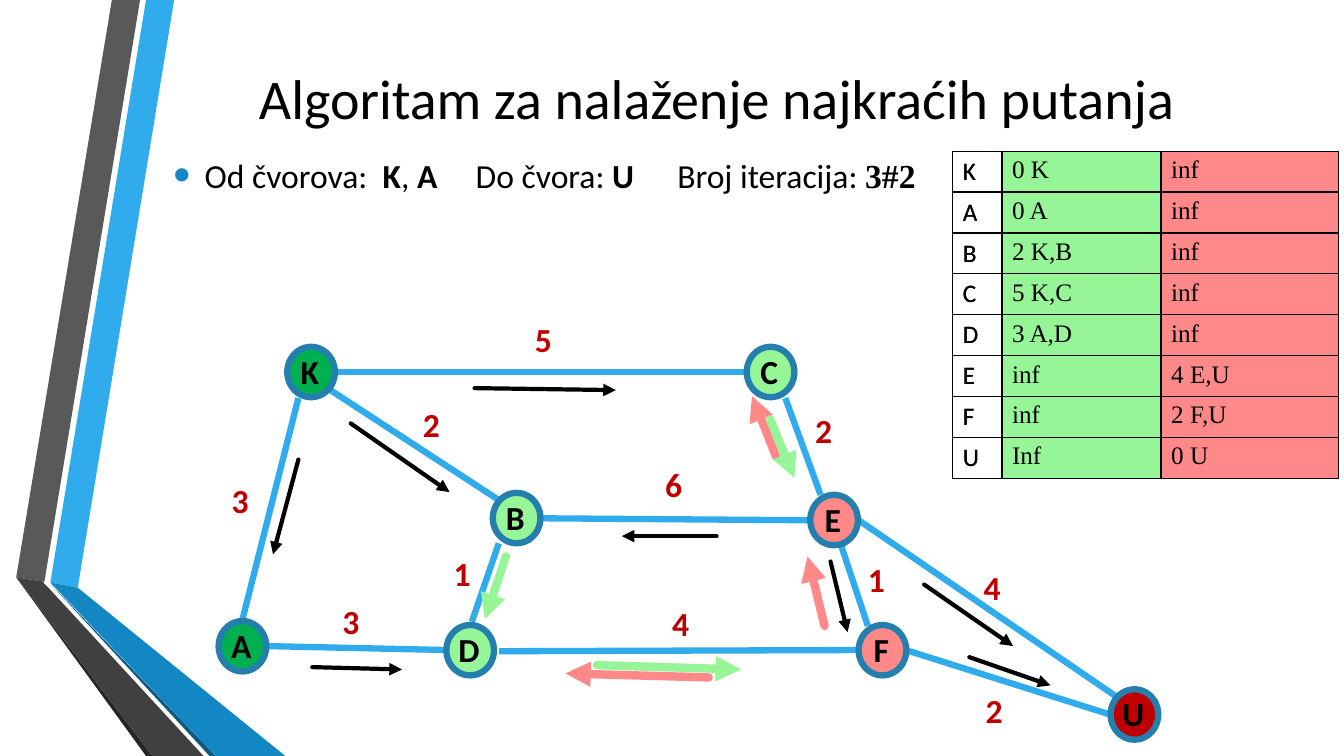
from pptx import Presentation
from pptx.dml.color import RGBColor
from pptx.enum.shapes import MSO_CONNECTOR, MSO_SHAPE
from pptx.enum.text import MSO_ANCHOR, PP_ALIGN
from pptx.oxml import parse_xml
from pptx.oxml.ns import nsdecls, qn
from pptx.util import Cm, Pt

BLACK = RGBColor(0x00, 0x00, 0x00)
SKY = RGBColor(0x30, 0xAC, 0xEC)
OCEAN = RGBColor(0x12, 0x87, 0xC3)
NAVY = RGBColor(0x0C, 0x5A, 0x82)
RIM = RGBColor(0x24, 0x7F, 0xAF)
GREY = RGBColor(0x59, 0x59, 0x59)
CHARCOAL = RGBColor(0x40, 0x40, 0x40)
SOOT = RGBColor(0x26, 0x26, 0x26)
GREEN = RGBColor(0x00, 0xB0, 0x50)
LIME = RGBColor(0x95, 0xF5, 0x97)
PINK = RGBColor(0xFF, 0x89, 0x89)
RED = RGBColor(0xC0, 0x00, 0x00)


def write(frame, runs, align=PP_ALIGN.LEFT, **common):
    """Fill the first paragraph with (text, font values) runs."""
    paragraph = frame.paragraphs[0]
    paragraph.alignment = align
    for text, own in runs:
        run = paragraph.add_run()
        run.text = text
        values = {"name": "Calibri", "bold": False, **common, **own}
        run.font.color.rgb = values.pop("color", BLACK)
        for key, value in values.items():
            setattr(run.font, key, value)
    return paragraph


def draw_line(ends, color, width, arrow=False):
    line = slide.shapes.add_connector(MSO_CONNECTOR.STRAIGHT, *map(Cm, ends))
    line.line.color.rgb = color
    line.line.width = Pt(width)
    properties = line.element.spPr
    if arrow:
        outline = properties.find(qn("a:ln"))
        outline.set("cap", "rnd")
        outline.append(parse_xml(f'<a:tailEnd {nsdecls("a")} type="triangle"/>'))
    properties.append(parse_xml(f'<a:effectLst {nsdecls("a")}/>'))


deck = Presentation()
deck.slide_width, deck.slide_height = Cm(33.87), Cm(19.05)
slide = deck.slides.add_slide(deck.slide_layouts[6])

# Folded ribbons on the left edge
ribbons = [
    (SKY, [(1.27, 14.68), (1.96, 14.81), (4.39, 0), (3.68, 0)]),
    (GREY, [(3.53, 0), (2.82, 0), (0.41, 14.55), (1.12, 14.66)]),
    (SOOT, [(0.41, 14.55), (3.68, 19.05), (3.84, 19.05)]),
    (NAVY, [(1.27, 14.71), (5.28, 19.05), (5.44, 19.05)]),
    (OCEAN, [(1.27, 14.68), (5.44, 19.05), (7.19, 19.05), (1.96, 14.81)]),
    (CHARCOAL, [(5.13, 19.05), (1.22, 14.81), (1.09, 14.68), (1.12, 14.66),
                (0.41, 14.55), (3.84, 19.05)]),
]
for color, corners in ribbons:
    points = [(Cm(x), Cm(y)) for x, y in corners]
    builder = slide.shapes.build_freeform(*points[0])
    builder.add_line_segments(points[1:], close=True)
    ribbon = builder.convert_to_shape()
    ribbon.shadow.inherit = False
    ribbon.fill.solid()
    ribbon.fill.fore_color.rgb = color
    ribbon.line.fill.background()

# Title and task
title = slide.shapes.add_textbox(Cm(4.14), Cm(0), Cm(27.84), Cm(4.88)).text_frame
title.word_wrap = True
title.vertical_anchor = MSO_ANCHOR.MIDDLE
write(title, [("Algoritam za nalaženje najkraćih putanja", {})],
      PP_ALIGN.CENTER, size=Pt(40))

task = slide.shapes.add_textbox(Cm(4.12), Cm(3.28), Cm(20.65), Cm(2.26)).text_frame
task.word_wrap = True
task.vertical_anchor = MSO_ANCHOR.MIDDLE
strong = {"bold": True}
task_line = write(task, [
    ("Od čvorova:", {}), (" ", {}), ("K", strong), (", ", {}), ("A", strong),
    ("\tDo čvora: ", {}), ("U\t", strong), ("Broj iteracija: ", {}),
    ("3#2", {"bold": True, "name": "Times New Roman"}),
], size=Pt(24))
task_line.space_after = Pt(6)
wide_gap = task_line.runs[1]._r.get_or_add_rPr()
wide_gap.set("spc", "540")
bullet = task_line._p.get_or_add_pPr()
bullet.set("marL", str(Cm(0.79)))
bullet.set("indent", str(-Cm(0.79)))
for tag in (f'buClr {nsdecls("a")}><a:srgbClr val="{OCEAN}"/></a:buClr',
            f'buSzPct {nsdecls("a")} val="145000"/',
            f'buFont {nsdecls("a")} typeface="Arial"/',
            f'buChar {nsdecls("a")} char="•"/'):
    bullet.append(parse_xml(f"<a:{tag}>"))

# Distances from the start nodes and to the target: a coloured grid under the values
distances = [
    ("K", "0 K", "inf"), ("A", "0 A", "inf"), ("B", "2 K,B", "inf"),
    ("C", "5 K,C", "inf"), ("D", "3 A,D", "inf"), ("E", "inf", "4 E,U"),
    ("F", "inf", "2 F,U"), ("U", "Inf", "0 U"),
]
grid = [(letter, "", "") for letter, _, _ in distances]
columns = [(1.24, "Calibri"), (4.01, "Times New Roman"), (4.47, "Times New Roman")]
row_height = 1.03
for rows, fills in ((grid, (None, LIME, PINK)), (distances, (None, LIME, None))):
    table = slide.shapes.add_table(
        len(rows), len(columns), Cm(24.01), Cm(3.81),
        Cm(sum(width for width, _ in columns)), Cm(row_height * len(rows))).table
    table.first_row = table.horz_banding = False
    for c, (width, _) in enumerate(columns):
        table.columns[c].width = Cm(width)
    for r, entries in enumerate(rows):
        table.rows[r].height = Cm(row_height)
        for c, (entry, (_, font), color) in enumerate(zip(entries, columns, fills)):
            cell = table.cell(r, c)
            if entry:
                write(cell.text_frame, [(entry, {})], size=Pt(18), name=font)
            borders = cell._tc.get_or_add_tcPr()
            for side in ("lnL", "lnR", "lnT", "lnB"):
                borders.append(parse_xml(
                    f'<a:{side} {nsdecls("a")} w="{Pt(1)}"><a:solidFill>'
                    f'<a:srgbClr val="{BLACK}"/></a:solidFill></a:{side}>'))
            if color is None:
                cell.fill.background()
            else:
                cell.fill.solid()
                cell.fill.fore_color.rgb = color

# Graph edges
edges = [
    (19.79, 10.03, 20.68, 12.47), (8.46, 9.37, 18.82, 9.37),
    (8.28, 9.8, 12.57, 12.6), (13.61, 13.06, 20.42, 13.11),
    (7.52, 10.03, 6.1, 15.65), (11.25, 16.38, 6.71, 16.28),
    (21.64, 16.38, 12.57, 16.41), (21.87, 15.77, 21.18, 13.69),
    (28.17, 17.58, 21.64, 13.11), (27.99, 18.01, 22.83, 16.38),
    (11.89, 15.67, 12.57, 13.69),
]
for ends in edges:
    draw_line(ends, SKY, 4.5)

# Graph nodes
nodes = [
    ("K", 7.24, 8.74, GREEN), ("D", 11.25, 15.75, LIME),
    ("B", 12.42, 12.42, LIME), ("C", 18.82, 8.74, LIME),
    ("E", 20.42, 12.47, PINK), ("U", 27.99, 17.37, RED),
    ("A", 5.51, 15.65, GREEN), ("F", 21.64, 15.75, PINK),
]
for letter, left, top, color in nodes:
    node = slide.shapes.add_shape(
        MSO_SHAPE.OVAL, Cm(left), Cm(top), Cm(1.2), Cm(1.27))
    node.shadow.inherit = False
    node.fill.solid()
    node.fill.fore_color.rgb = color
    node.line.color.rgb = RIM
    node.line.width = Pt(4.5)
    label_format = {"word_wrap": False, "vertical_anchor": MSO_ANCHOR.MIDDLE,
                    "margin_left": 0, "margin_right": Cm(0.06),
                    "margin_top": 0, "margin_bottom": Cm(0.06)}
    for key, value in label_format.items():
        setattr(node.text_frame, key, value)
    write(node.text_frame, [(letter, {})], PP_ALIGN.CENTER, size=Pt(24), bold=True)

# Edge weights
weights = [
    ("6", 16.51, 11.56), ("2", 10.41, 10.06), ("2", 20.29, 10.21),
    ("4", 24.54, 14.15), ("4", 16.69, 15.06), ("1", 11.18, 13.82),
    ("3", 8.38, 15.01), ("3", 5.59, 11.96), ("2", 24.59, 17.25),
    ("1", 21.62, 13.97), ("5", 13.23, 7.92),
]
for weight, left, top in weights:
    box = slide.shapes.add_textbox(Cm(left), Cm(top), Cm(0.94), Cm(1.27))
    box.text_frame.word_wrap = False
    write(box.text_frame, [(weight, {})], size=Pt(24), bold=True, color=RED)

# Arrows: edge directions, then the two searches
arrows = [
    (BLACK, 3, [(11.96, 9.78, 15.52, 9.83), (7.87, 16.81, 10.13, 16.87),
                (7.52, 11.58, 6.88, 13.97), (18.06, 13.51, 15.67, 13.51),
                (23.29, 14.73, 25.53, 16.28), (20.93, 14.15, 21.36, 15.93),
                (24.43, 16.56, 26.47, 17.27), (8.84, 10.67, 11.33, 12.4)]),
    (LIME, 6, [(15.04, 16.76, 18.67, 16.87), (12.75, 14.02, 12.22, 15.6)]),
    (PINK, 6, [(17.86, 17.07, 14.25, 16.97), (20.78, 15.77, 20.35, 14.02),
               (19.56, 11.51, 18.95, 9.98)]),
    (LIME, 6, [(19.41, 10.57, 20.02, 12.04)]),
]
for color, width, strokes in arrows:
    for ends in strokes:
        draw_line(ends, color, width, arrow=True)

deck.save("out.pptx")
